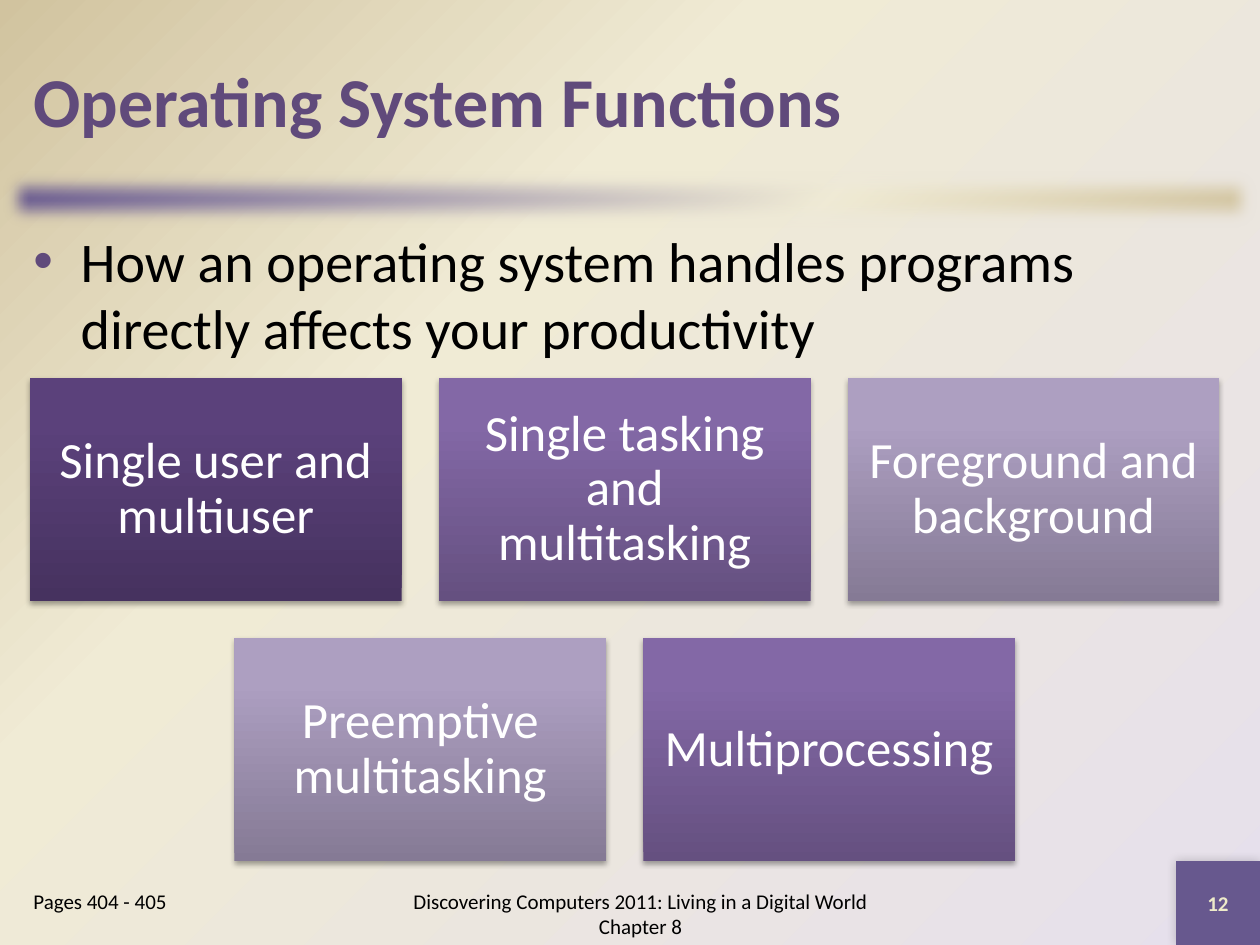
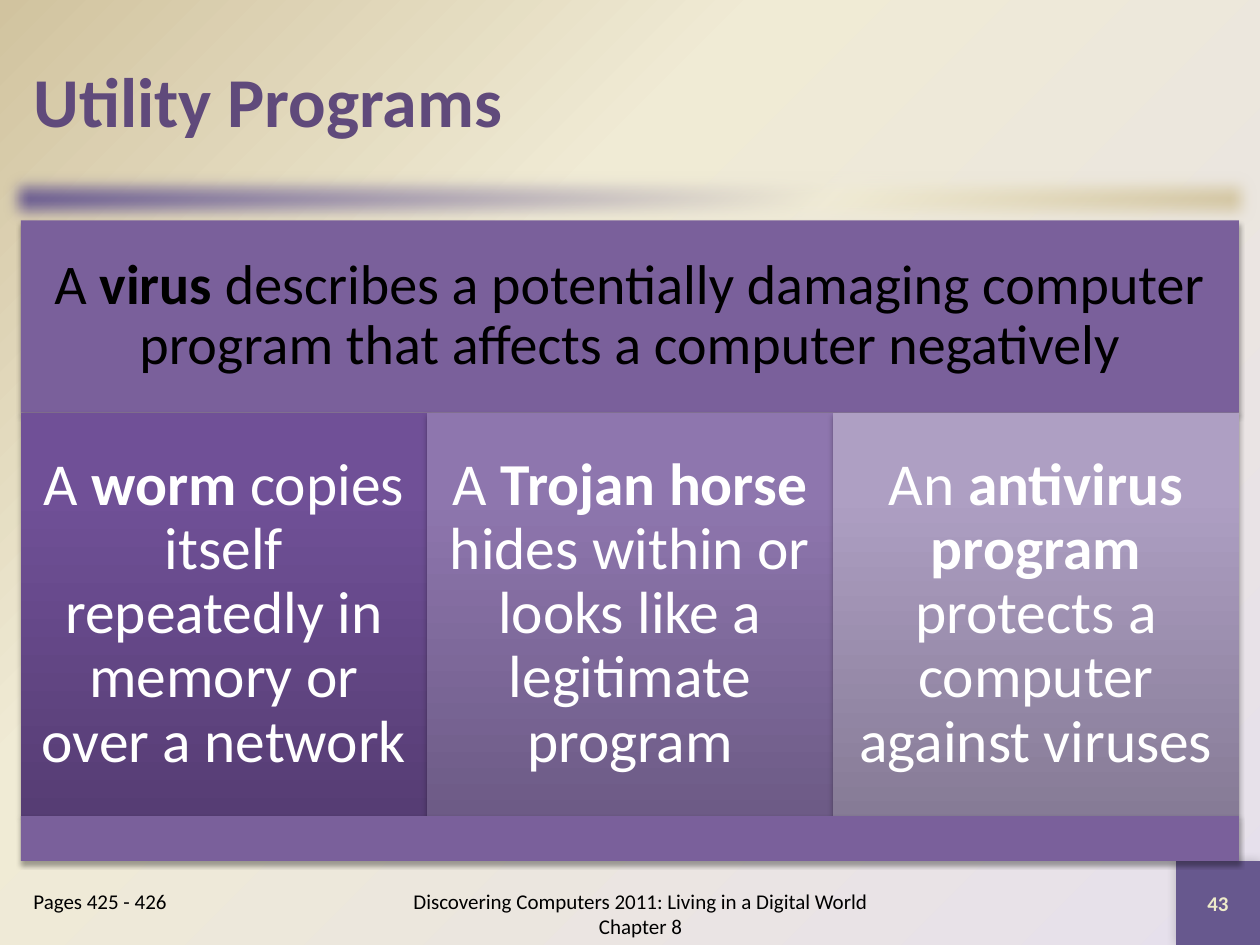
"""Build two slides on operating system functions and utility programs."""
from lxml import etree
from pptx import Presentation
from pptx.dml.color import RGBColor as RGB
from pptx.enum.shapes import MSO_SHAPE as SHAPE
from pptx.enum.text import MSO_ANCHOR as ANCHOR, PP_ALIGN as ALIGN
from pptx.oxml import parse_xml
from pptx.oxml.ns import nsdecls, qn
from pptx.util import Pt

FONT = "Calibri"
BLACK, WHITE = RGB(0, 0, 0), RGB(255, 255, 255)
TITLE = RGB(0x60, 0x4A, 0x7B)
NUMBER = RGB(0xEE, 0xEB, 0xCA)
LAVENDER = RGB(0xE6, 0xE0, 0xEC)
CREAM = RGB(0xF0, 0xEB, 0xD5)
TAN = RGB(0xD1, 0xC3, 0x9F)
VIOLET = RGB(0x67, 0x58, 0x8E)
BANNER = RGB(0x7A, 0x60, 0x9B)
DARK = RGB(0x46, 0x32, 0x5F), RGB(0x5B, 0x41, 0x7B), RGB(0x5B, 0x40, 0x7C)
MEDIUM = RGB(0x65, 0x50, 0x80), RGB(0x83, 0x68, 0xA6), RGB(0x83, 0x68, 0xA8)
LIGHT = RGB(0x85, 0x7A, 0x95), RGB(0xAD, 0x9F, 0xC1), RGB(0xAE, 0x9F, 0xC3)
WORM = RGB(0x56, 0x3D, 0x74), RGB(0x70, 0x50, 0x97), RGB(0x70, 0x4F, 0x99)
TROJAN = RGB(0x6D, 0x5B, 0x86), RGB(0x8E, 0x76, 0xAE), RGB(0x8E, 0x75, 0xB0)
ANTIVIRUS = RGB(0x86, 0x7B, 0x96), RGB(0xAE, 0x9F, 0xC3), RGB(0xAE, 0x9F, 0xC4)

UPWARD = '<a:lin ang="16200000" scaled="0"/>'
DIAGONAL = '<a:lin ang="2700000" scaled="0"/>'
FROM_CORNER = '<a:path path="circle"><a:fillToRect l="100000" t="100000"/></a:path>'
SHADOW = '<a:outerShdw blurRad="{}" dist="{}" dir="{}" rotWithShape="0"><a:srgbClr val="000000"><a:alpha val="{}"/></a:srgbClr></a:outerShdw>'
PANEL_SHADOW = SHADOW.format(Pt(3.1), Pt(1.8), 5400000, 35000)
CORNER_SHADOW = SHADOW.format(Pt(6), 0, 13500000, 20000)
SOFT_EDGE = f'<a:softEdge rad="{Pt(10)}"/>'

FOOTER = "Discovering Computers 2011: Living in a Digital World Chapter 8"


def paint(props, colours, middle=80, shade=UPWARD, effect=""):
    """Add a solid or three-stop fill and an effect to a properties element."""
    if len(colours) == 1:
        fill = f'<a:solidFill {nsdecls("a")}><a:srgbClr val="{colours[0]}"/></a:solidFill>'
    else:
        stops = "".join(f'<a:gs pos="{pos * 1000}"><a:srgbClr val="{c}"/></a:gs>'
                        for pos, c in zip((0, middle, 100), colours))
        fill = f'<a:gradFill {nsdecls("a")} rotWithShape="1"><a:gsLst>{stops}</a:gsLst>{shade}</a:gradFill>'
    props.append(parse_xml(fill))
    props.append(parse_xml(f'<a:effectLst {nsdecls("a")}>{effect}</a:effectLst>'))


def write(tf, text, size, colour, align=ALIGN.LEFT, anchor=ANCHOR.MIDDLE, bold=False):
    """Write one paragraph, with the parts between asterisks in bold."""
    tf.word_wrap = True
    tf.vertical_anchor = anchor
    p = tf.paragraphs[0]
    p.alignment = align
    for i, part in enumerate(text.split("*")):
        r = p.add_run()
        r.text = part
        r.font.name, r.font.size = FONT, Pt(size)
        r.font.bold = bold or i % 2 == 1
        r.font.color.rgb = colour
    return p


box_w, box_h, box_gap = 212.4, 127.4, 21.24
function_rows = [
    [("Single user and multiuser", DARK),
     ("Single tasking and multitasking", MEDIUM),
     ("Foreground and background", LIGHT)],
    [("Preemptive multitasking", LIGHT), ("Multiprocessing", MEDIUM)],
]
function_panels = []
for row, boxes in enumerate(function_rows):
    left = 357 - (len(boxes) * (box_w + box_gap) - box_gap) / 2
    for col, (text, colours) in enumerate(boxes):
        function_panels.append((left + col * (box_w + box_gap), 216 + row * (box_h + box_gap),
                                box_w, box_h, colours, text, 29, WHITE))

left, top, width = 12, 126, 696
head_h, threat_h, base_h = 109.8, 230.6, 25.6
threats = [
    ("A *worm* copies itself repeatedly in memory or over a network", WORM),
    ("A *Trojan horse* hides within or looks like a legitimate program", TROJAN),
    ("An *antivirus program* protects a computer against viruses", ANTIVIRUS),
]
virus = "A *virus* describes a potentially damaging computer program that affects a computer negatively"
utility_panels = [(left, top, width, head_h, [BANNER], virus, 32, BLACK)]
for col, (text, colours) in enumerate(threats):
    utility_panels.append((left + col * width / 3, top + head_h, width / 3, threat_h,
                           colours, text, 34, WHITE))
utility_panels.append((left, top + head_h + threat_h, width, base_h, [BANNER], "", 0, WHITE))

slides = [
    ("Operating System Functions", "12", "Pages 404 - 405",
     "How an operating system handles programs directly affects your productivity", function_panels),
    ("Utility Programs", "43", "Pages 425 - 426", "", utility_panels),
]

prs = Presentation()
prs.slide_width, prs.slide_height = Pt(720), Pt(540)

c_sld = prs.slide_master.element.cSld
for old in c_sld.findall(qn("p:bg")):
    c_sld.remove(old)
bg = parse_xml(f'<p:bg {nsdecls("p", "a")}><p:bgPr/></p:bg>')
paint(bg[0], (LAVENDER, CREAM, TAN), 65, FROM_CORNER)
c_sld.insert(0, bg)

for title, number, pages, bullet, panels in slides:
    s = prs.slides.add_slide(prs.slide_layouts[5])

    band = s.shapes.add_shape(SHAPE.RECTANGLE, 0, Pt(96), Pt(720), Pt(36))
    paint(band._element.spPr, (VIOLET, CREAM, TAN), 65, DIAGONAL, SOFT_EDGE)
    corner = s.shapes.add_shape(SHAPE.RECTANGLE, Pt(672), Pt(492), Pt(48), Pt(48))
    paint(corner._element.spPr, [VIOLET], effect=CORNER_SHADOW)
    for sp in (band, corner):
        sp.line.fill.background()
    write(corner.text_frame, number, 12, NUMBER, ALIGN.CENTER, bold=True)

    sp = s.shapes.title
    sp.left, sp.top, sp.width, sp.height = Pt(12), Pt(12), Pt(696), Pt(90)
    write(sp.text_frame, title, 40, TITLE, bold=True)

    sp = s.shapes.add_textbox(Pt(216), Pt(504), Pt(300), Pt(36))
    write(sp.text_frame, FOOTER, 12, BLACK, ALIGN.CENTER)
    sp = s.shapes.add_textbox(Pt(12), Pt(504), Pt(132), Pt(36))
    write(sp.text_frame, pages, 12, BLACK, anchor=ANCHOR.TOP)

    if bullet:
        sp = s.shapes.add_textbox(Pt(12), Pt(126), Pt(696), Pt(90))
        p = write(sp.text_frame, bullet, 32, BLACK, anchor=ANCHOR.TOP)
        pPr = p._p.get_or_add_pPr()
        pPr.set("marL", str(Pt(27)))
        pPr.set("indent", str(-Pt(27)))
        colour = etree.SubElement(pPr, qn("a:buClr"))
        etree.SubElement(colour, qn("a:srgbClr"), val=str(TITLE))
        etree.SubElement(pPr, qn("a:buFont"), typeface="Arial")
        etree.SubElement(pPr, qn("a:buChar"), char="•")

    for x, y, w, h, colours, text, size, ink in panels:
        sp = s.shapes.add_shape(SHAPE.RECTANGLE, Pt(x), Pt(y), Pt(w), Pt(h))
        paint(sp._element.spPr, colours, effect=PANEL_SHADOW)
        sp.line.fill.background()
        if text:
            tf = sp.text_frame
            tf.margin_left = tf.margin_right = tf.margin_top = tf.margin_bottom = Pt(size * 0.3)
            write(tf, text, size, ink, ALIGN.CENTER).line_spacing = 0.9

prs.save("out.pptx")
